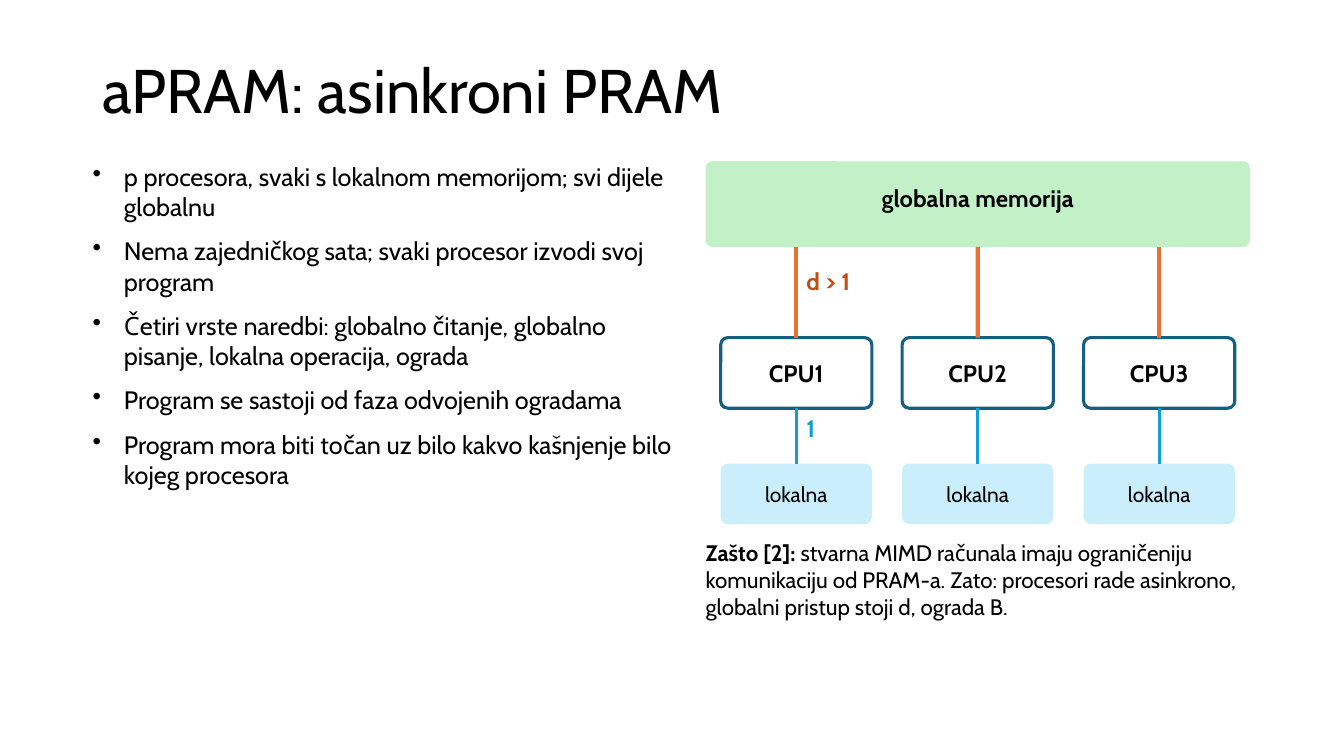
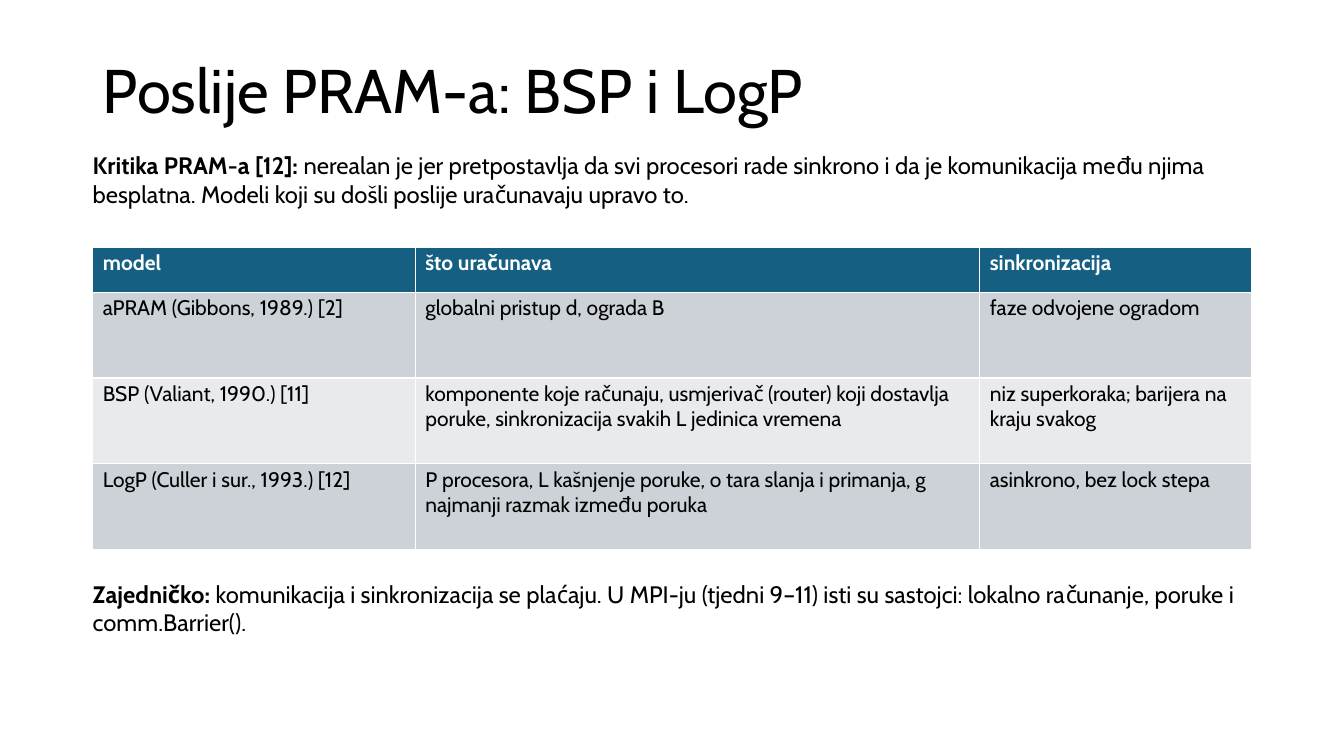
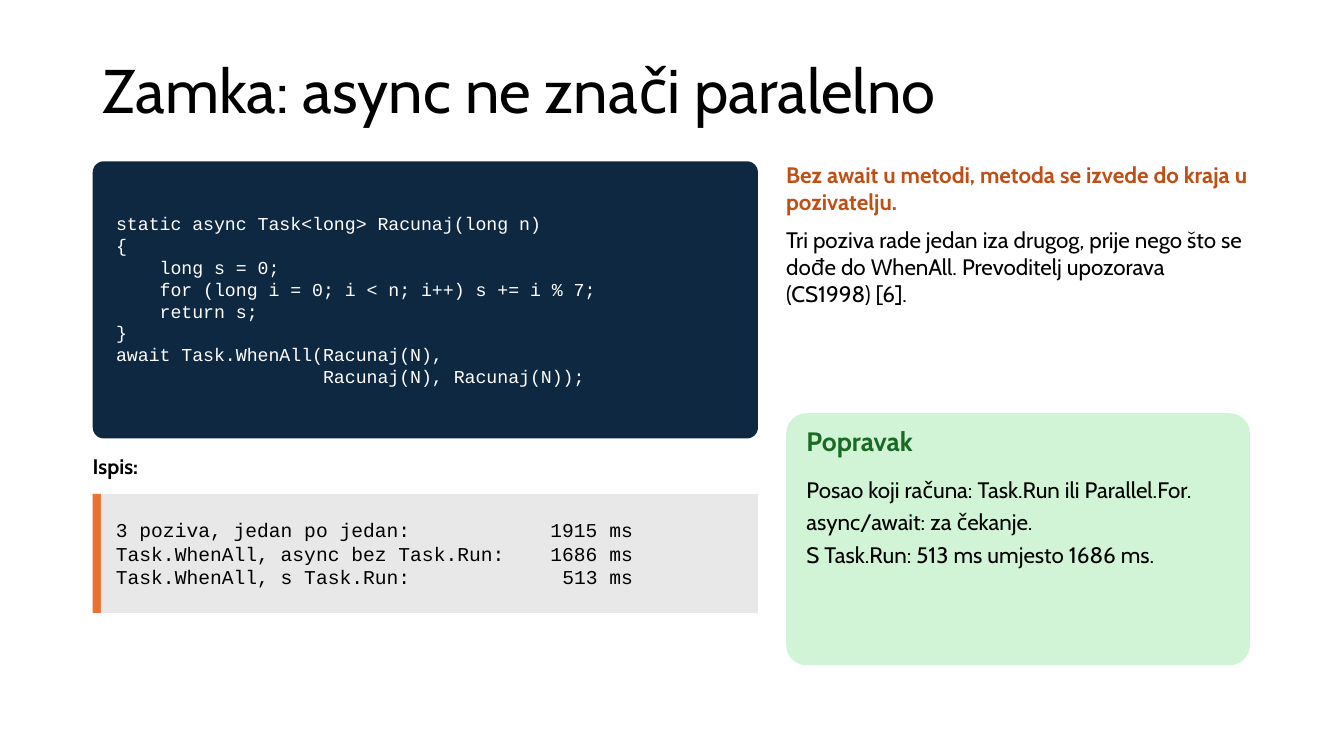
import pptx
import pptx.dml.color
import pptx.enum.shapes
import pptx.enum.text
import pptx.oxml
import pptx.oxml.ns
import pptx.util

Color = pptx.dml.color.RGBColor
Shape = pptx.enum.shapes.MSO_SHAPE
Anchor = pptx.enum.text.MSO_ANCHOR
Align = pptx.enum.text.PP_ALIGN

# Colours
BLACK = Color(0x00, 0x00, 0x00)
WHITE = Color(0xFF, 0xFF, 0xFF)
TEAL = Color(0x15, 0x60, 0x82)
NAVY = Color(0x0E, 0x28, 0x41)
ORANGE = Color(0xE9, 0x71, 0x32)
RUST = Color(0xC0, 0x4F, 0x15)
BLUE = Color(0x0F, 0x9E, 0xD5)
PALE_BLUE = Color(0xCA, 0xEE, 0xFB)
GREEN = Color(0x19, 0x6B, 0x24)
MEMORY_GREEN = Color(0xC2, 0xF1, 0xC8)
PALE_GREEN = Color(0xD1, 0xF4, 0xD6)
GRAY = Color(0xE8, 0xE8, 0xE8)
ROW_COLORS = (Color(0xCC, 0xD2, 0xD8), Color(0xE8, 0xEA, 0xED))

# Fonts
BODY_FONT = "Cabin"
CODE_FONT = "Courier New"

# Grid: ten columns or rows to the inch
COLUMNS, ROWS = 133.33, 75
LEFT, WIDTH = 9.2, 115
RIGHT_LEFT, RIGHT_WIDTH = 70, 54
BODY_TOP = 16
BOLD = {"bold": True}


def grid(count):
    return pptx.util.Inches(count / 10)


def set_format(target, values):
    for name, value in values.items():
        setattr(target, name, value)


def add_property(paragraph, xml):
    namespace = pptx.oxml.ns.nsdecls("a")
    properties = paragraph._p.get_or_add_pPr()
    properties.append(pptx.oxml.parse_xml(xml.replace("/>", f" {namespace}/>", 1)
                                          if xml.count("<") == 1 else
                                          xml.replace(">", f" {namespace}>", 1)))
    return properties


def add_bullet(paragraph):
    properties = add_property(paragraph, '<a:buChar char="•"/>')
    properties.set("marL", str(grid(3.1)))
    properties.set("indent", str(-grid(3.1)))


def add_right_tab(paragraph, position):
    add_property(paragraph, f'<a:tabLst><a:tab pos="{grid(position)}" algn="r"/></a:tabLst>')


def write(frame, paragraphs, size, color=BLACK, font=BODY_FONT, bold=False,
          insets=(0, 0, 0, 0), anchor=Anchor.TOP, layout=None, bullets=False, tab=None):
    """Each paragraph is a string or a list of (text, font changes) runs."""
    left, top, right, bottom = map(grid, insets)
    set_format(frame, {"word_wrap": True, "vertical_anchor": anchor,
                       "margin_left": left, "margin_top": top,
                       "margin_right": right, "margin_bottom": bottom})
    for index, runs in enumerate(paragraphs):
        paragraph = frame.add_paragraph() if index else frame.paragraphs[0]
        if bullets:
            add_bullet(paragraph)
        if tab:
            add_right_tab(paragraph, tab)
        set_format(paragraph, {"alignment": Align.LEFT, **(layout or {})})
        for text, changes in [(runs, {})] if isinstance(runs, str) else runs:
            values = {"color": color, "bold": bold, **changes}
            run = paragraph.add_run()
            run.text = text
            run.font.color.rgb = values.pop("color")
            set_format(run.font, {"name": font, "size": pptx.util.Pt(size), **values})


def add_text(slide, area, paragraphs, size, **style):
    box = slide.shapes.add_textbox(*map(grid, area))
    write(box.text_frame, paragraphs, size, **style)


def add_box(slide, area, fill, corner=None, line=None):
    kind = Shape.RECTANGLE if corner is None else Shape.ROUNDED_RECTANGLE
    shape = slide.shapes.add_shape(kind, *map(grid, area))
    shape.shadow.inherit = False
    shape.fill.solid()
    shape.fill.fore_color.rgb = fill
    if corner is not None:
        shape.adjustments[0] = corner
    if line:
        shape.line.color.rgb = line
        shape.line.width = pptx.util.Pt(2.25)
    else:
        shape.line.fill.background()
    return shape


def link(slide, start, start_site, end, end_site, color, width):
    """Draw a vertical line from the middle of the start shape's side."""
    x = start.left + start.width // 2
    sides = {0: lambda shape: shape.top, 2: lambda shape: shape.top + shape.height}
    connector = slide.shapes.add_connector(
        pptx.enum.shapes.MSO_CONNECTOR.STRAIGHT,
        x, sides[start_site](start), x, sides[end_site](end))
    connector.begin_connect(start, start_site)
    if abs(end.left + end.width // 2 - x) < grid(0.1):
        connector.end_connect(end, end_site)
    connector.line.color.rgb = color
    connector.line.width = pptx.util.Pt(width)
    namespace = pptx.oxml.ns.nsdecls("a")
    connector._element.spPr.append(pptx.oxml.parse_xml(f"<a:effectLst {namespace}/>"))


def add_table(slide, area, widths, heights, rows):
    table = slide.shapes.add_table(len(rows), len(widths), *map(grid, area)).table
    for column, width in zip(table.columns, widths):
        column.width = grid(width)
    for index, (row, height, texts) in enumerate(zip(table.rows, heights, rows)):
        row.height = grid(height)
        header = index == 0
        for cell, text in zip(row.cells, texts):
            cell.fill.solid()
            cell.fill.fore_color.rgb = TEAL if header else ROW_COLORS[(index - 1) % 2]
            write(cell.text_frame, [text], 15, WHITE if header else BLACK, bold=header)
            set_format(cell, {"margin_left": grid(1), "margin_right": grid(1),
                              "margin_top": grid(0.3), "margin_bottom": grid(0.3),
                              "vertical_anchor": Anchor.TOP})


def add_slide(presentation, title):
    slide = presentation.slides.add_slide(presentation.slide_layouts[6])
    add_text(slide, (LEFT, 4, WIDTH, 10.6), [title], 44, insets=(1, 0.5, 1, 0.5),
             anchor=Anchor.MIDDLE, layout={"line_spacing": 0.9})
    return slide


def add_processor(slide, number, memory):
    left, width = RIGHT_LEFT + 1.5 + 18 * (number - 1), 15
    centered = {"anchor": Anchor.MIDDLE, "layout": {"alignment": Align.CENTER}}
    processor = add_box(slide, (left, 33.5, width, 7), WHITE, 0.1, TEAL)
    write(processor.text_frame, [f"CPU{number}"], 17, bold=True,
          insets=(0.3, 0.5, 0.3, 0.5), **centered)
    local = add_box(slide, (left, 46, width, 6), PALE_BLUE, 0.12)
    write(local.text_frame, ["lokalna"], 15, insets=(0.5, 0.2, 0.5, 0.2), **centered)
    link(slide, processor, 0, memory, 2, ORANGE, 3)
    link(slide, processor, 2, local, 0, BLUE, 2)


def build_apram(presentation):
    slide = add_slide(presentation, "aPRAM: asinkroni PRAM")
    add_text(slide, (LEFT, BODY_TOP, 58, 46), [
        "p procesora, svaki s lokalnom memorijom; svi dijele globalnu",
        "Nema zajedničkog sata; svaki procesor izvodi svoj program",
        "Četiri vrste naredbi: globalno čitanje, globalno pisanje, lokalna operacija, ograda",
        "Program se sastoji od faza odvojenih ogradama",
        "Program mora biti točan uz bilo kakvo kašnjenje bilo kojeg procesora",
    ], 18, bullets=True, layout={"space_after": pptx.util.Pt(10)})

    # Memory diagram
    memory = add_box(slide, (RIGHT_LEFT, BODY_TOP, RIGHT_WIDTH, 8.5), MEMORY_GREEN, 0.08)
    add_text(slide, (RIGHT_LEFT, 18.2, RIGHT_WIDTH, 4), ["globalna memorija"], 17,
             bold=True, layout={"alignment": Align.CENTER})
    for number in (1, 2, 3):
        add_processor(slide, number, memory)
    for label, top, width, color in (("d > 1", 26.5, 15, RUST), ("1", 41, 10, BLUE)):
        add_text(slide, (80, top, width, 4), [label], 17, color=color, bold=True)

    add_text(slide, (RIGHT_LEFT, 53.5, RIGHT_WIDTH, 14), [[
        ("Zašto [2]: ", BOLD),
        ("stvarna MIMD računala imaju ograničeniju komunikaciju od PRAM-a. Zato: "
         "procesori rade asinkrono, globalni pristup stoji d, ograda B.", {}),
    ]], 16)


def build_models(presentation):
    slide = add_slide(presentation, "Poslije PRAM-a: BSP i LogP")
    add_text(slide, (LEFT, 15, WIDTH, 8), [[
        ("Kritika PRAM-a [12]: ", BOLD),
        ("nerealan je jer pretpostavlja da svi procesori rade sinkrono i da je komunikacija "
         "među njima besplatna. Modeli koji su došli poslije uračunavaju upravo to.", {}),
    ]], 17)
    add_table(slide, (LEFT, 24.5, WIDTH, 30), (32, 56, 27), (4.5, 8.5, 8.5, 8.5), [
        ("model", "što uračunava", "sinkronizacija"),
        ("aPRAM (Gibbons, 1989.) [2]", "globalni pristup d, ograda B", "faze odvojene ogradom"),
        ("BSP (Valiant, 1990.) [11]",
         "komponente koje računaju, usmjerivač (router) koji dostavlja poruke, "
         "sinkronizacija svakih L jedinica vremena",
         "niz superkoraka; barijera na kraju svakog"),
        ("LogP (Culler i sur., 1993.) [12]",
         "P procesora, L kašnjenje poruke, o tara slanja i primanja, "
         "g najmanji razmak između poruka",
         "asinkrono, bez lock stepa"),
    ])
    add_text(slide, (LEFT, 57.5, WIDTH, 10), [[
        ("Zajedničko: ", BOLD),
        ("komunikacija i sinkronizacija se plaćaju. U MPI-ju (tjedni 9–11) isti su sastojci: "
         "lokalno računanje, poruke i comm.Barrier().", {}),
    ]], 17)


def build_async_trap(presentation):
    slide = add_slide(presentation, "Zamka: async ne znači paralelno")
    code_width, note_left, note_width = 66, 78, 46

    # Code
    code = add_box(slide, (LEFT, BODY_TOP, code_width, 27.5), NAVY, 0.04)
    write(code.text_frame, [
        "static async Task<long> Racunaj(long n)",
        "{",
        "    long s = 0;",
        "    for (long i = 0; i < n; i++) s += i % 7;",
        "    return s;",
        "}",
        "await Task.WhenAll(Racunaj(N),",
        "                   Racunaj(N), Racunaj(N));",
    ], 13, WHITE, CODE_FONT, insets=(2, 0.5, 1, 0.5), anchor=Anchor.MIDDLE)

    # Output with an accent bar
    add_text(slide, (LEFT, 45, code_width, 4), ["Ispis:"], 15, bold=True)
    bar = 0.8
    add_box(slide, (LEFT, 49, bar, 11.8), ORANGE)
    output = add_box(slide, (LEFT + bar, 49, code_width - bar, 11.8), GRAY)
    write(output.text_frame, [
        "3 poziva, jedan po jedan:\t1915 ms",
        "Task.WhenAll, async bez Task.Run:\t1686 ms",
        "Task.WhenAll, s Task.Run:\t513 ms",
    ], 14, font=CODE_FONT, insets=(1.5, 0.5, 1, 0.5), anchor=Anchor.MIDDLE, tab=51.3)

    # Explanation
    add_text(slide, (note_left, BODY_TOP, note_width, 23), [
        [("Bez await u metodi, metoda se izvede do kraja u pozivatelju.",
          {"bold": True, "color": RUST})],
        "Tri poziva rade jedan iza drugog, prije nego što se dođe do WhenAll. "
        "Prevoditelj upozorava (CS1998) [6].",
    ], 16, layout={"space_after": pptx.util.Pt(8)})

    # Fix
    add_box(slide, (note_left, 41, note_width, 25), PALE_GREEN, 0.08)
    inner_left, inner_width = note_left + 2, note_width - 4
    add_text(slide, (inner_left, 42.2, inner_width, 4.5), ["Popravak"], 19,
             color=GREEN, bold=True)
    add_text(slide, (inner_left, 47.2, inner_width, 18), [
        "Posao koji računa: Task.Run ili Parallel.For.",
        "async/await: za čekanje.",
        "S Task.Run: 513 ms umjesto 1686 ms.",
    ], 16, layout={"space_after": pptx.util.Pt(4)})


def main():
    presentation = pptx.Presentation()
    set_format(presentation, {"slide_width": grid(COLUMNS), "slide_height": grid(ROWS)})
    build_apram(presentation)
    build_models(presentation)
    build_async_trap(presentation)
    presentation.save("out.pptx")


if __name__ == "__main__":
    main()
